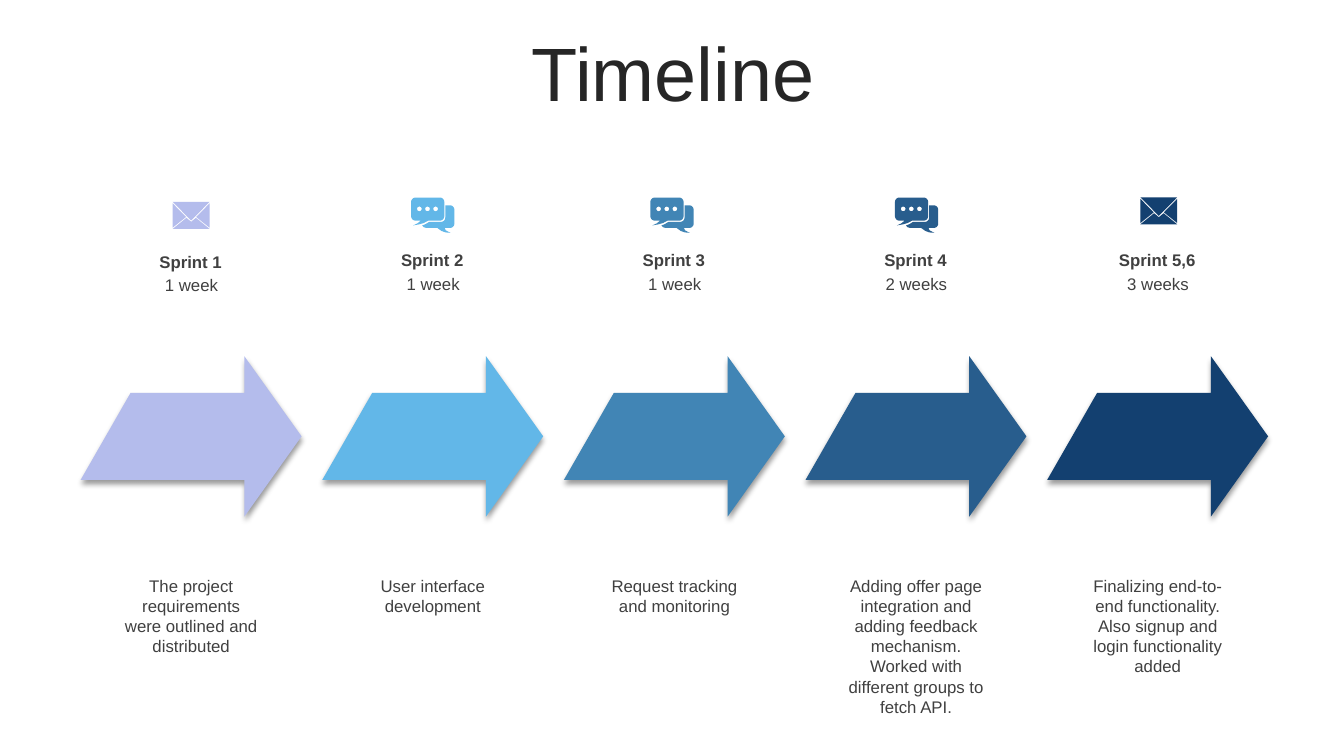
import math

import lxml.etree
import pptx
import pptx.dml.color
import pptx.enum.text
import pptx.oxml.ns
import pptx.util

Pt = pptx.util.Pt
RGBColor = pptx.dml.color.RGBColor
MSO_ANCHOR = pptx.enum.text.MSO_ANCHOR
MSO_AUTO_SIZE = pptx.enum.text.MSO_AUTO_SIZE

LILAC = RGBColor(0xB4, 0xBC, 0xEC)
SKY = RGBColor(0x62, 0xB7, 0xE8)
STEEL = RGBColor(0x41, 0x85, 0xB5)
DENIM = RGBColor(0x28, 0x5D, 0x8D)
NAVY = RGBColor(0x13, 0x40, 0x70)
INK = RGBColor(0x26, 0x26, 0x26)
BODY = RGBColor(0x40, 0x40, 0x40)

PITCH = 172.6
LINE = 14.5
INSETS = 7.2


def arc(cx, cy, r, start, end):
    steps = 8
    angles = [math.radians(start + (end - start) * i / steps) for i in range(steps + 1)]
    return [(cx + r * math.cos(a), cy + r * math.sin(a)) for a in angles]


ARROW = [[(116.9, 0), (157.8, 57.3), (116.9, 114.7), (116.9, 88.4),
          (0, 88.4), (35.7, 26.2), (116.9, 26.2)]]

ENVELOPE = [
    [(16.6, 11.4), (26.3, 19.3), (0, 19.3), (9.8, 11.4), (13.2, 14.2)],
    [(26.3, 1.1), (26.3, 18.4), (16.8, 10.8)],
    [(0, 1.1), (9.5, 10.8), (0, 18.4)],
    [(0, 0), (26.3, 0), (13.2, 13.3)],
]

FRONT_BUBBLE = (
    arc(3.2, 3.2, 3.2, 180, 270) + arc(20.5, 3.2, 3.2, 270, 360)
    + arc(20.5, 13.3, 3.2, 0, 90)
    + [(12.3, 16.5), (9, 18.2), (5.5, 19.2), (1.4, 19.9), (4.5, 18.5), (6.9, 16.5)]
    + arc(3.2, 13.3, 3.2, 90, 180)
)
BACK_BUBBLE = (
    [(24.4, 5.6)] + arc(27.8, 8.7, 3.1, 270, 360) + arc(27.8, 18.6, 3.1, 0, 90)
    + [(24, 21.7), (24.7, 23.4), (28.1, 25.2), (24.5, 24.9), (21.6, 23.8), (18.7, 21.7),
       (10.8, 21.7), (9, 21.2), (7.9, 20), (10.5, 18.9), (12.9, 17.4)]
    + arc(21.3, 14.3, 3.1, 90, 0)
)
CHAT = [FRONT_BUBBLE, BACK_BUBBLE] + [arc(5.9 + 5.8 * i, 8.1, 1.75, 360, 0) for i in range(3)]

SPRINTS = [
    ("Sprint 1", "1 week", LILAC, ENVELOPE, 123.4, 144.2, 176,
     "The project requirements were outlined and distributed", 4),
    ("Sprint 2", "1 week", SKY, CHAT, 293.7, 141.1, 174.7,
     "User interface development", 2),
    ("Sprint 3", "1 week", STEEL, CHAT, 464.6, 141.1, 174.7,
     "Request tracking and monitoring", 2),
    ("Sprint 4", "2 weeks", DENIM, CHAT, 639.3, 141.1, 174.7,
     "Adding offer page integration and adding feedback mechanism. "
     "Worked with different groups to fetch API.", 7),
    ("Sprint 5,6", "3 weeks", NAVY, ENVELOPE, 814.6, 140.9, 174.7,
     "Finalizing end-to-end functionality. Also signup and login functionality added", 5),
]


class Deck:
    font = "Arial"

    def __init__(self):
        self.prs = pptx.Presentation()
        self.prs.slide_width, self.prs.slide_height = Pt(960), Pt(540)
        self.s = self.prs.slides.add_slide(self.prs.slide_layouts[6])

    def text(self, x, y, w, h, text, size=12, color=BODY, bold=False):
        tf = self.s.shapes.add_textbox(Pt(x), Pt(y), Pt(w), Pt(h)).text_frame
        tf.word_wrap = True
        p = tf.paragraphs[0]
        p.text = text
        p.alignment = pptx.enum.text.PP_ALIGN.CENTER
        p.font.name, p.font.size, p.font.bold = self.font, Pt(size), bold
        p.font.color.rgb = color
        return tf

    def title(self, text):
        tf = self.text(25.2, 26.6, 911.5, 56.9, text, 54, INK)
        tf.vertical_anchor = MSO_ANCHOR.MIDDLE
        tf.paragraphs[0].line_spacing = 0.9

    def label(self, x, y, w, text, lines=1, bold=False):
        tf = self.text(x, y, w, lines * LINE + INSETS, text, bold=bold)
        tf.auto_size = MSO_AUTO_SIZE.SHAPE_TO_FIT_TEXT

    def outline(self, x, y, contours, color):
        builder = None
        for contour in contours:
            pts = [(Pt(x + dx), Pt(y + dy)) for dx, dy in contour]
            if builder is None:
                builder = self.s.shapes.build_freeform(*pts[0], scale=1.0)
            else:
                builder.move_to(*pts[0])
            builder.add_line_segments(pts[1:], close=True)
        sp = builder.convert_to_shape()
        sp.shadow.inherit = False
        sp.fill.solid()
        sp.fill.fore_color.rgb = color
        sp.line.fill.background()
        return sp

    def arrow(self, x, y, color):
        sp = self.outline(x, y, ARROW, color)
        qn = pptx.oxml.ns.qn
        effects = sp.element.spPr.find(qn("a:effectLst"))
        shadow = lxml.etree.SubElement(
            effects, qn("a:outerShdw"), blurRad=str(Pt(4)), dist=str(Pt(3)),
            dir="5400000", algn="t", rotWithShape="0")
        black = lxml.etree.SubElement(shadow, qn("a:srgbClr"), val="000000")
        lxml.etree.SubElement(black, qn("a:alpha"), val="40000")


def main():
    deck = Deck()
    deck.title("Timeline")
    for i, (name, span, color, icon, icon_x, icon_y, name_y, detail, lines) in enumerate(SPRINTS):
        x = 57.6 + i * PITCH
        deck.arrow(x, 254.4, color)
        deck.outline(icon_x, icon_y, icon, color)
        deck.label(x + 28.2, name_y, 100.8, name, bold=True)
        deck.label(x + 28.8, name_y + 17, 100.8, span)
        deck.label(x + 23.2, 407.5, 111.6, detail, lines)
    deck.prs.save("out.pptx")


if __name__ == "__main__":
    main()
